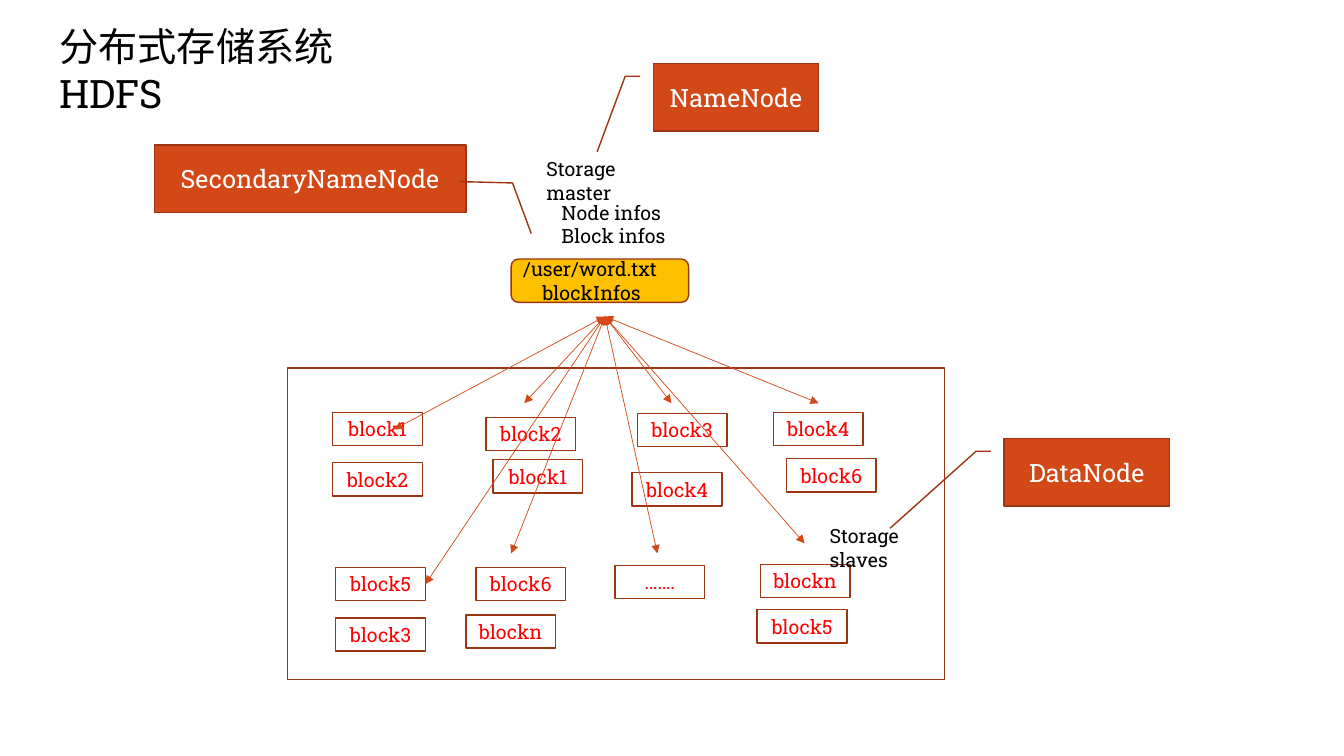
from lxml import etree
from pptx import Presentation
from pptx.dml.color import RGBColor
from pptx.enum.shapes import MSO_CONNECTOR, MSO_SHAPE
from pptx.enum.text import MSO_ANCHOR, PP_ALIGN
from pptx.oxml.ns import qn
from pptx.util import Inches, Pt

RECT = MSO_SHAPE.RECTANGLE
ROUND = MSO_SHAPE.ROUNDED_RECTANGLE
CALLOUT = MSO_SHAPE.LINE_CALLOUT_2
STRAIGHT = MSO_CONNECTOR.STRAIGHT
TOP, MIDDLE = MSO_ANCHOR.TOP, MSO_ANCHOR.MIDDLE
LEFT, CENTER = PP_ALIGN.LEFT, PP_ALIGN.CENTER
RIGHT_SIDE = 3


class Theme:
    font = "Roboto Slab"
    black = RGBColor.from_string("000000")
    white = RGBColor.from_string("FFFFFF")
    red = RGBColor.from_string("FF0000")
    orange = RGBColor.from_string("D34817")
    rust = RGBColor.from_string("9C3511")
    gold = RGBColor.from_string("FFC000")
    title, role, body = Pt(28), Pt(18), Pt(14)
    edge, thin = Pt(1), Pt(0.5)


# Blocks as name, x, y from the corner of the data frame
BLOCKS = [
    ("block1", 0.45, 0.44), ("block2", 0.45, 0.94),
    ("block2", 1.97, 0.49), ("block1", 2.04, 0.91),
    ("block3", 3.47, 0.45), ("block4", 3.42, 1.04),
    ("block4", 4.82, 0.44), ("block6", 4.95, 0.9),
    ("block5", 0.48, 1.98), ("block3", 0.48, 2.48),
    ("block6", 1.87, 1.98), ("blockn", 1.77, 2.45),
    ("…….", 3.25, 1.96),
    ("blockn", 4.69, 1.95), ("block5", 4.66, 2.4),
]
JOINED = 8  # the block whose right side takes an arrow

# Free arrow tips, from the same corner
TIPS = [(1.06, 0.61), (2.35, 0.35), (3.81, 0.35), (5.27, 0.35),
        (2.22, 1.84), (3.67, 1.84), (5.13, 1.74)]

# Roles as name, box, leader line points
ROLES = [
    ("NameNode", (6.48, 0.63, 1.64, 0.67),
     (0.19, -0.08, 0.19, -0.17, 1.31, -0.34)),
    ("SecondaryNameNode", (1.53, 1.44, 3.09, 0.67),
     (0.54, 0.98, 0.56, 1.15, 1.31, 1.21)),
    ("DataNode", (9.96, 4.35, 1.64, 0.67),
     (0.19, -0.08, 0.19, -0.17, 1.33, -0.69)),
]


def inches(box):
    return [Inches(v) for v in box]


def write(frame, lines, size, color, align=LEFT, anchor=TOP):
    frame.word_wrap = True
    frame.vertical_anchor = anchor
    for i, line in enumerate(lines):
        para = frame.paragraphs[0] if i == 0 else frame.add_paragraph()
        para.alignment = align
        run = para.add_run()
        run.text = line
        style = {"name": Theme.font, "size": size}
        for key, value in style.items():
            setattr(run.font, key, value)
        run.font.color.rgb = color


def panel(slide, kind, box, fill=None):
    shape = slide.shapes.add_shape(kind, *inches(box))
    shape.shadow.inherit = False
    if fill is None:
        shape.fill.background()
    else:
        shape.fill.solid()
        shape.fill.fore_color.rgb = fill
    shape.line.color.rgb = Theme.rust
    shape.line.width = Theme.edge
    return shape


def label(slide, box, *lines):
    text = slide.shapes.add_textbox(*inches(box))
    write(text.text_frame, lines, Theme.body, Theme.black)


def arrow(slide, start, end):
    line = slide.shapes.add_connector(STRAIGHT, *inches(start + end))
    line.line.color.rgb = Theme.orange
    line.line.width = Theme.thin
    edge = line.line._get_or_add_ln()
    for tag in ("a:headEnd", "a:tailEnd"):
        etree.SubElement(edge, qn(tag), type="triangle")
    etree.SubElement(line._element.spPr, qn("a:effectLst"))
    return line


def heading(slide, box):
    title = slide.shapes.title
    for key, value in zip(("left", "top", "width", "height"), inches(box)):
        setattr(title, key, value)
    write(title.text_frame, ["分布式存储系统HDFS"], Theme.title, Theme.black)


def blocks(slide, box):
    x, y = box[:2]
    made = []
    for name, dx, dy in BLOCKS:
        block = panel(slide, RECT, (x + dx, y + dy, 0.89, 0.33))
        write(block.text_frame, [name], Theme.body, Theme.red, CENTER, MIDDLE)
        made.append(block)
    panel(slide, RECT, box)
    label(slide, (x + 5.28, y + 1.5, 1.33, 0.34), "Storage slaves")

    # Arrows fan out from one hub above the frame
    hub = (x + 3.15, y - 0.51)
    for dx, dy in TIPS:
        arrow(slide, hub, (x + dx, y + dy))
    arrow(slide, hub, hub).end_connect(made[JOINED], RIGHT_SIDE)


def master(slide, box):
    x, y, wide = box[:3]
    label(slide, (x + 0.25, y - 1.06, 1.41, 0.34), "Storage master")
    label(slide, (x + 0.4, y - 0.63, 1.27, 0.57), "Node infos", "Block infos")
    entry = panel(slide, ROUND, box, Theme.gold)
    frame = entry.text_frame
    write(frame, ["/user/word.txt", "blockInfos"], Theme.body, Theme.black,
          anchor=MIDDLE)
    props = frame.paragraphs[1]._p.get_or_add_pPr()
    props.set("marL", str(Inches(0.19)))


def role(slide, name, box, points):
    shape = panel(slide, CALLOUT, box, Theme.orange)
    for i, value in enumerate(points):
        shape.adjustments[i] = value
    write(shape.text_frame, [name], Theme.role, Theme.white, CENTER, MIDDLE)


def main():
    deck = Presentation()
    deck.slide_width, deck.slide_height = Inches(13.33), Inches(7.5)
    slide = deck.slides.add_slide(deck.slide_layouts[5])
    heading(slide, (0.49, 0.17, 3.9, 0.57))
    blocks(slide, (2.85, 3.65, 6.52, 3.09))
    master(slide, (5.07, 2.57, 1.76, 0.43))
    for name, box, points in ROLES:
        role(slide, name, box, points)
    deck.save("out.pptx")


if __name__ == "__main__":
    main()
